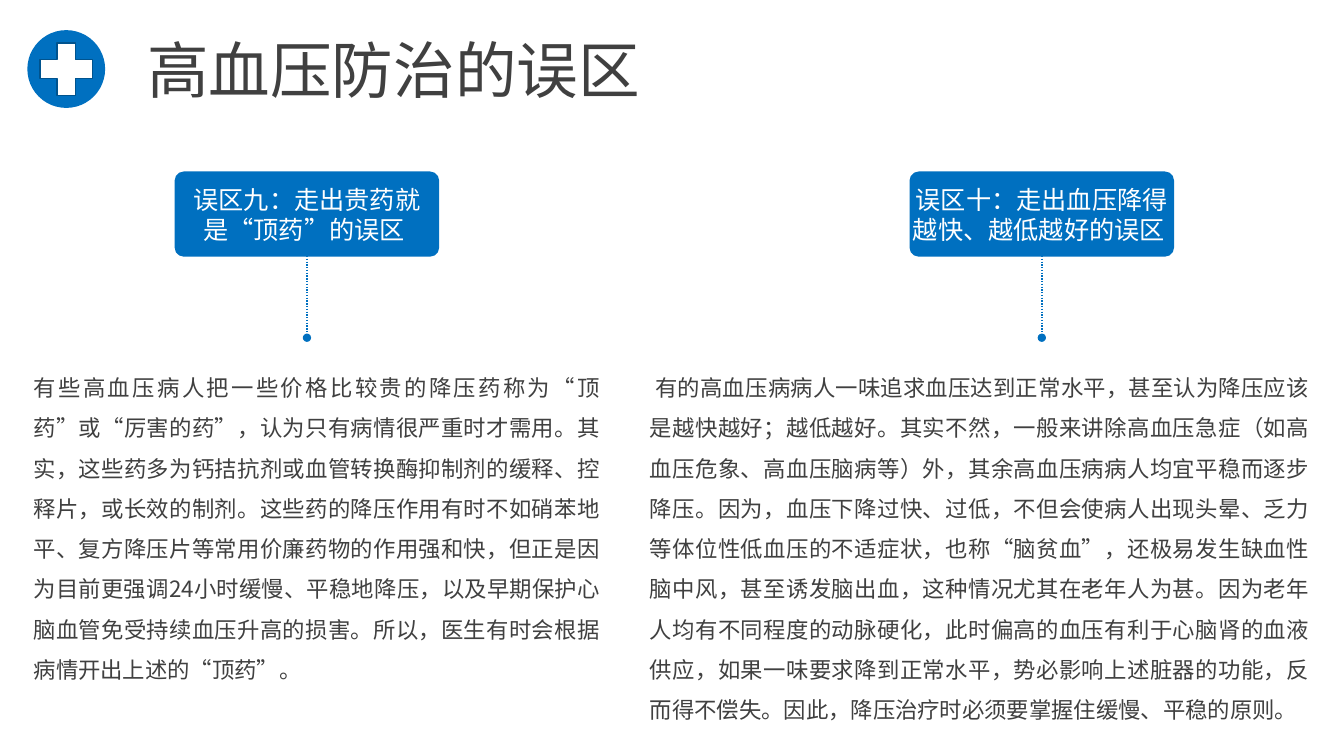
from lxml.etree import SubElement
from pptx import Presentation
from pptx.dml.color import RGBColor
from pptx.enum.dml import MSO_LINE_DASH_STYLE as Dash
from pptx.enum.shapes import MSO_CONNECTOR as Connector, MSO_SHAPE as Shape
from pptx.enum.text import MSO_ANCHOR as Anchor, MSO_AUTO_SIZE as AutoSize, PP_ALIGN as Align
from pptx.oxml.ns import qn
from pptx.util import Cm, Pt

FONT = "Noto Sans CJK SC"
COLORS = {"blue": "0070C0", "edge": "00538E", "white": "FFFFFF", "text": "404040"}

TITLE = "高血压防治的误区"
LABEL_TOP, LABEL_WIDTH, LABEL_HEIGHT = 4.34, 6.63, 2.11
POINTER_END = 8.51
BODY_TOP = 8.96

# left, width and height of the body; left of the label above it
MYTHS = [
    {
        "label": "误区九：走出贵药就\n是“顶药”的误区 ",
        "label_left": 4.42,
        "body_box": (0.6, 14.78, 8.46),
        "body": "有些高血压病人把一些价格比较贵的降压药称为“顶药”或“厉害的药”，"
                "认为只有病情很严重时才需用。其实，这些药多为钙拮抗剂或血管转换酶抑制剂的缓释、"
                "控释片，或长效的制剂。这些药的降压作用有时不如硝苯地平、复方降压片等常用价廉药物的"
                "作用强和快，但正是因为目前更强调24小时缓慢、平稳地降压，以及早期保护心脑血管免受"
                "持续血压升高的损害。所以，医生有时会根据病情开出上述的“顶药”。",
    },
    {
        "label": "误区十：走出血压降得越快、越低越好的误区 ",
        "label_left": 22.94,
        "body_box": (16.13, 17.13, 9.5),
        "body": " 有的高血压病病人一味追求血压达到正常水平，甚至认为降压应该是越快越好；越低越好。"
                "其实不然，一般来讲除高血压急症（如高血压危象、高血压脑病等）外，其余高血压病病人"
                "均宜平稳而逐步降压。因为，血压下降过快、过低，不但会使病人出现头晕、乏力等体位性"
                "低血压的不适症状，也称“脑贫血”，还极易发生缺血性脑中风，甚至诱发脑出血，"
                "这种情况尤其在老年人为甚。因为老年人均有不同程度的动脉硬化，此时偏高的血压有利于"
                "心脑肾的血液供应，如果一味要求降到正常水平，势必影响上述脏器的功能，反而得不偿失。"
                "因此，降压治疗时必须要掌握住缓慢、平稳的原则。",
    },
]


def color(name):
    return RGBColor.from_string(COLORS[name])


def write(box, text, size, ink="text", align=Align.LEFT, anchor=Anchor.TOP,
          spacing=1.0, wrap=True, insets=(0.25, 0.13)):
    frame = box.text_frame
    frame.word_wrap = wrap
    frame.auto_size = AutoSize.NONE
    frame.vertical_anchor = anchor
    frame.margin_left = frame.margin_right = Cm(insets[0])
    frame.margin_top = frame.margin_bottom = Cm(insets[1])
    frame.text = text
    for para in frame.paragraphs:
        para.alignment = align
        para.line_spacing = spacing
        for span in para.runs:
            span.font.size = Pt(size)
            span.font.name = FONT
            span.font.color.rgb = color(ink)
            SubElement(span.font._element, qn("a:ea"), typeface=FONT)


def add_block(page, kind, left, top, width, height, fill, line=None, adjust=None):
    block = page.shapes.add_shape(kind, Cm(left), Cm(top), Cm(width), Cm(height))
    block.shadow.inherit = False
    block.fill.solid()
    block.fill.fore_color.rgb = color(fill)
    if line:
        block.line.color.rgb = color(line)
        block.line.width = Pt(1)
    else:
        block.line.fill.background()
    if adjust is not None:
        block.adjustments[0] = adjust
    return block


def add_header(page, left, top, size):
    # Round badge with a centred cross
    cross = 1.32
    gap = (size - cross) / 2
    add_block(page, Shape.OVAL, left, top, size, size, "blue")
    add_block(page, Shape.CROSS, left + gap, top + gap, cross, cross, "white", "edge", 0.324)

    # Title
    title = page.shapes.title
    title.left, title.top = Cm(left + 2.66), Cm(top - 0.15)
    title.width, title.height = Cm(13.26), Cm(2.24)
    write(title, TITLE, 44, anchor=Anchor.MIDDLE, wrap=False, insets=(0.36, 0.18))


def add_pointer(page, label, left, top, bottom):
    pointer = page.shapes.add_connector(Connector.STRAIGHT, Cm(left), Cm(top), Cm(left), Cm(bottom))
    pointer.begin_connect(label, 2)
    pointer.line.color.rgb = color("blue")
    pointer.line.width = Pt(1)
    pointer.line.dash_style = Dash.ROUND_DOT
    SubElement(pointer.line._get_or_add_ln(), qn("a:tailEnd"), type="oval")
    SubElement(pointer._element.spPr, qn("a:effectLst"))


def add_myth(page, label, label_left, body_box, body):
    # Label, whose text needs the full width, and the dotted pointer below it
    plate = add_block(page, Shape.ROUNDED_RECTANGLE, label_left, LABEL_TOP,
                      LABEL_WIDTH, LABEL_HEIGHT, "blue", "blue", 0.1)
    write(plate, label, 18, "white", Align.CENTER, Anchor.MIDDLE, insets=(0, 0))
    add_pointer(page, plate, label_left + LABEL_WIDTH / 2, LABEL_TOP + LABEL_HEIGHT, POINTER_END)

    # Explanation
    left, width, height = body_box
    box = page.shapes.add_textbox(Cm(left), Cm(BODY_TOP), Cm(width), Cm(height))
    write(box, body, 16, align=Align.JUSTIFY, spacing=1.5)


def main():
    deck = Presentation()
    deck.slide_width, deck.slide_height = Cm(33.87), Cm(19.05)
    page = deck.slides.add_slide(deck.slide_layouts[5])
    add_header(page, 0.69, 0.76, 1.96)
    for myth in MYTHS:
        add_myth(page, **myth)
    deck.save("out.pptx")


if __name__ == "__main__":
    main()
